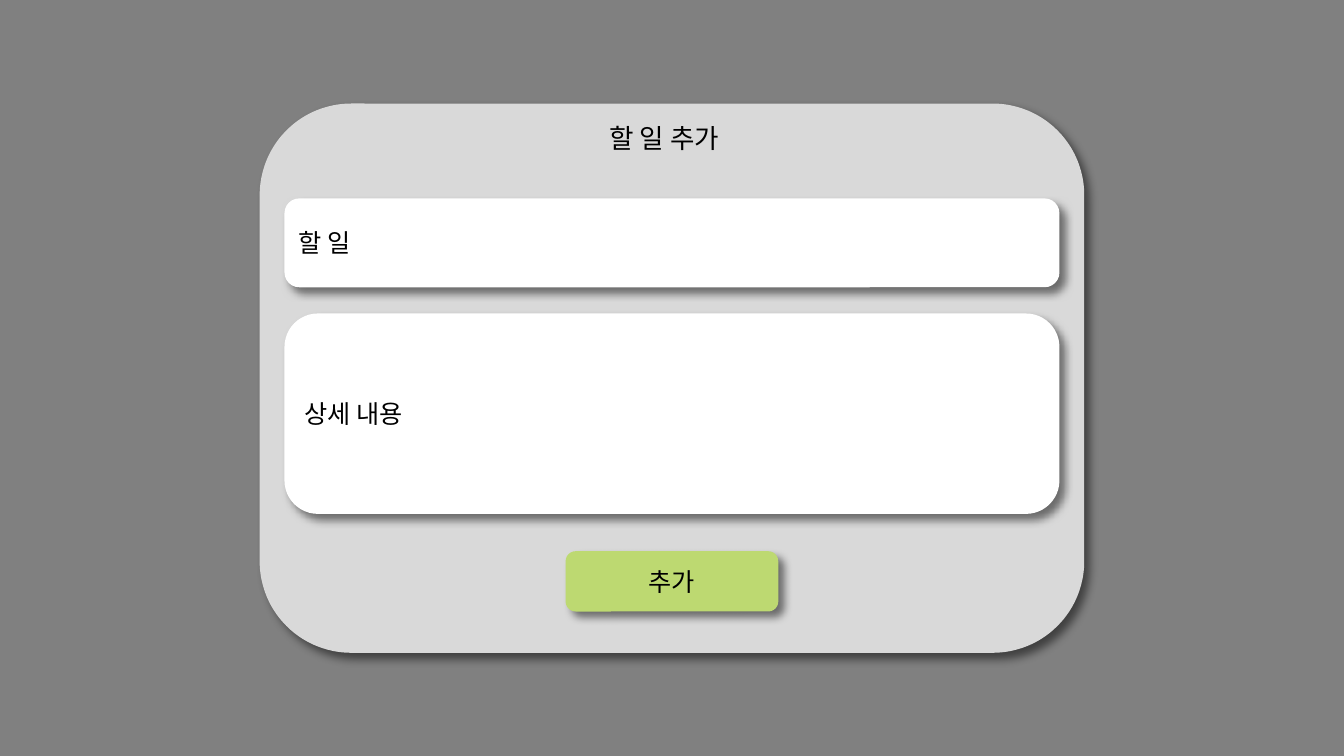
from lxml import etree
from pptx import Presentation
from pptx.dml.color import RGBColor
from pptx.enum.shapes import MSO_SHAPE
from pptx.enum.text import MSO_ANCHOR, MSO_AUTO_SIZE, PP_ALIGN
from pptx.oxml.ns import qn
from pptx.util import Cm, Pt

ROUNDED = MSO_SHAPE.ROUNDED_RECTANGLE
MIDDLE = MSO_ANCHOR.MIDDLE
FIT_SHAPE = MSO_AUTO_SIZE.SHAPE_TO_FIT_TEXT
LEFT, CENTER = PP_ALIGN.LEFT, PP_ALIGN.CENTER

FONT = "Calibri"
SLIDE_W, SLIDE_H = 33.87, 19.05
COLORS = {
    "backdrop": "808080",
    "dialog": "D9D9D9",
    "field": "FFFFFF",
    "button": "BDD971",
    "text": "000000",
    "shadow": "000000",
}


def rgb(name):
    return RGBColor.from_string(COLORS[name])


def add_shadow(sp):
    """Give the shape a soft half-transparent shadow to the lower right."""
    sp.shadow.inherit = False
    effects = sp._element.spPr.find(qn("a:effectLst"))
    shadow = etree.SubElement(effects, qn("a:outerShdw"), blurRad=str(Pt(6)),
                              dist=str(Pt(6)), dir=str(45 * 60000),
                              algn="tl", rotWithShape="0")
    color = etree.SubElement(shadow, qn("a:srgbClr"), val=COLORS["shadow"])
    etree.SubElement(color, qn("a:alpha"), val="50000")


def write(tf, text, size, align):
    p = tf.paragraphs[0]
    p.text = text
    p.alignment = align
    p.font.name = FONT
    p.font.size = Pt(size)
    p.font.color.rgb = rgb("text")


def add_panel(s, top, width, height, color, text=None, align=LEFT):
    """Add a rounded panel, centred across the slide."""
    sp = s.shapes.add_shape(ROUNDED, Cm((SLIDE_W - width) / 2), Cm(top),
                            Cm(width), Cm(height))
    sp.fill.solid()
    sp.fill.fore_color.rgb = rgb(color)
    sp.line.fill.background()
    add_shadow(sp)
    if text:
        sp.text_frame.vertical_anchor = MIDDLE
        write(sp.text_frame, text, 18, align)


def add_title(s, left, top, width, height, text):
    tf = s.shapes.add_textbox(Cm(left), Cm(top), Cm(width), Cm(height)).text_frame
    tf.word_wrap = True
    tf.auto_size = FIT_SHAPE
    write(tf, text, 19, CENTER)


def main():
    prs = Presentation()
    prs.slide_width, prs.slide_height = Cm(SLIDE_W), Cm(SLIDE_H)
    s = prs.slides.add_slide(prs.slide_layouts[6])
    s.background.fill.solid()
    s.background.fill.fore_color.rgb = rgb("backdrop")

    add_panel(s, 2.61, 20.78, 13.84, "dialog")
    add_title(s, 14.53, 2.95, 4.42, 1.04, "할 일 추가")
    add_panel(s, 5, 19.53, 2.24, "field", "할 일")
    add_panel(s, 7.9, 19.53, 5.05, "field", "상세 내용")
    add_panel(s, 13.89, 5.36, 1.52, "button", "추가", CENTER)

    prs.save("out.pptx")


if __name__ == "__main__":
    main()
